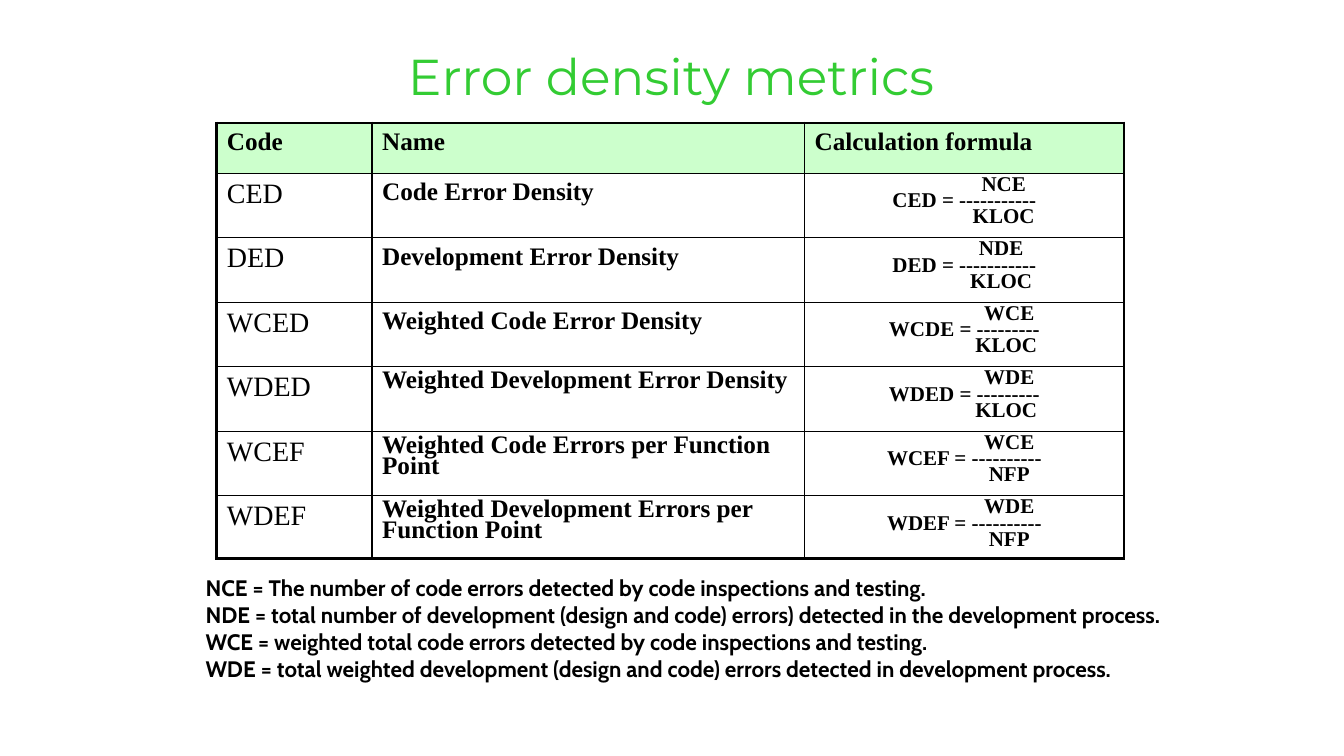
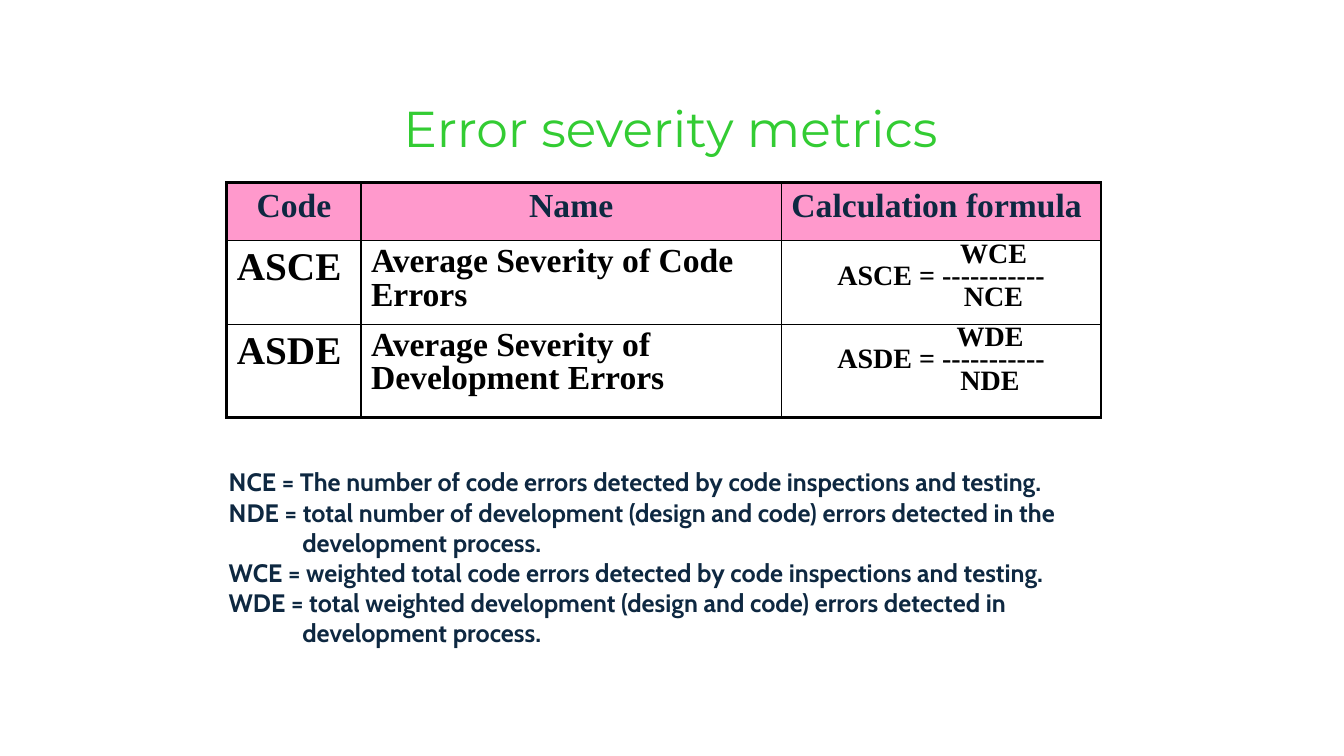
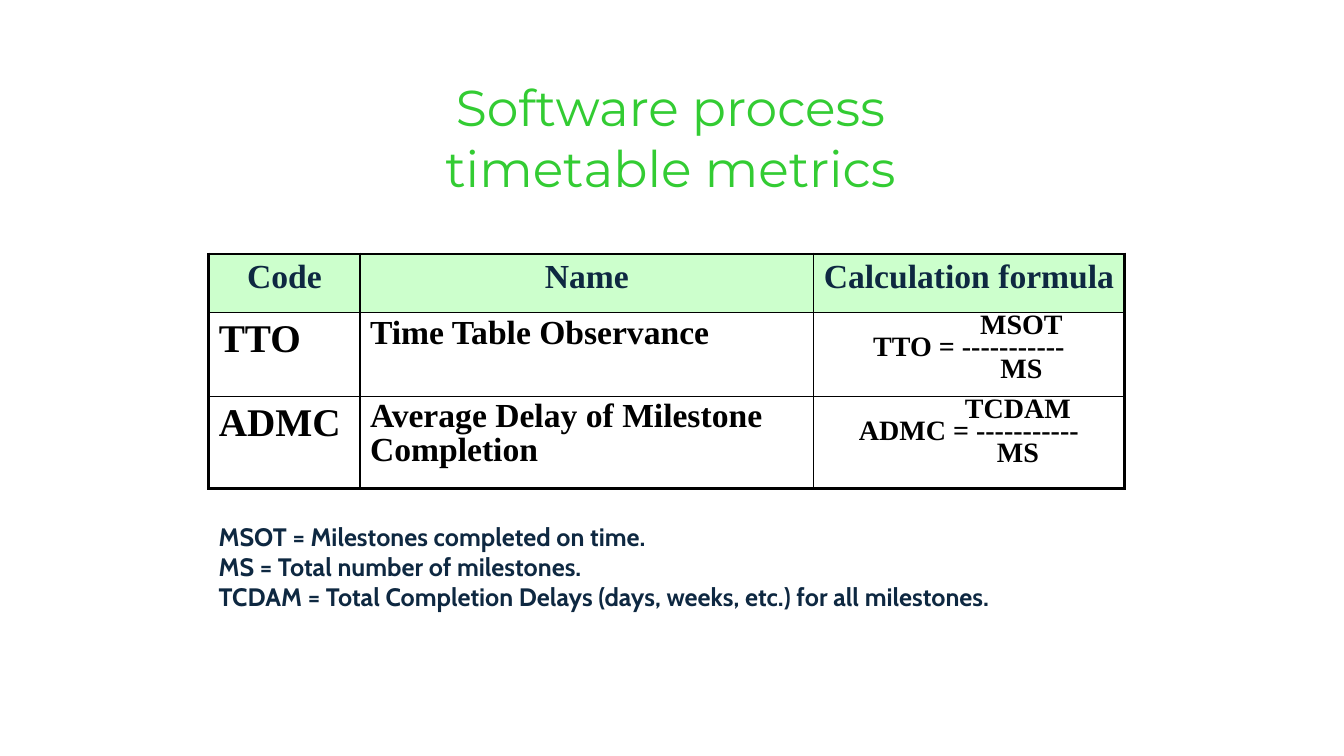
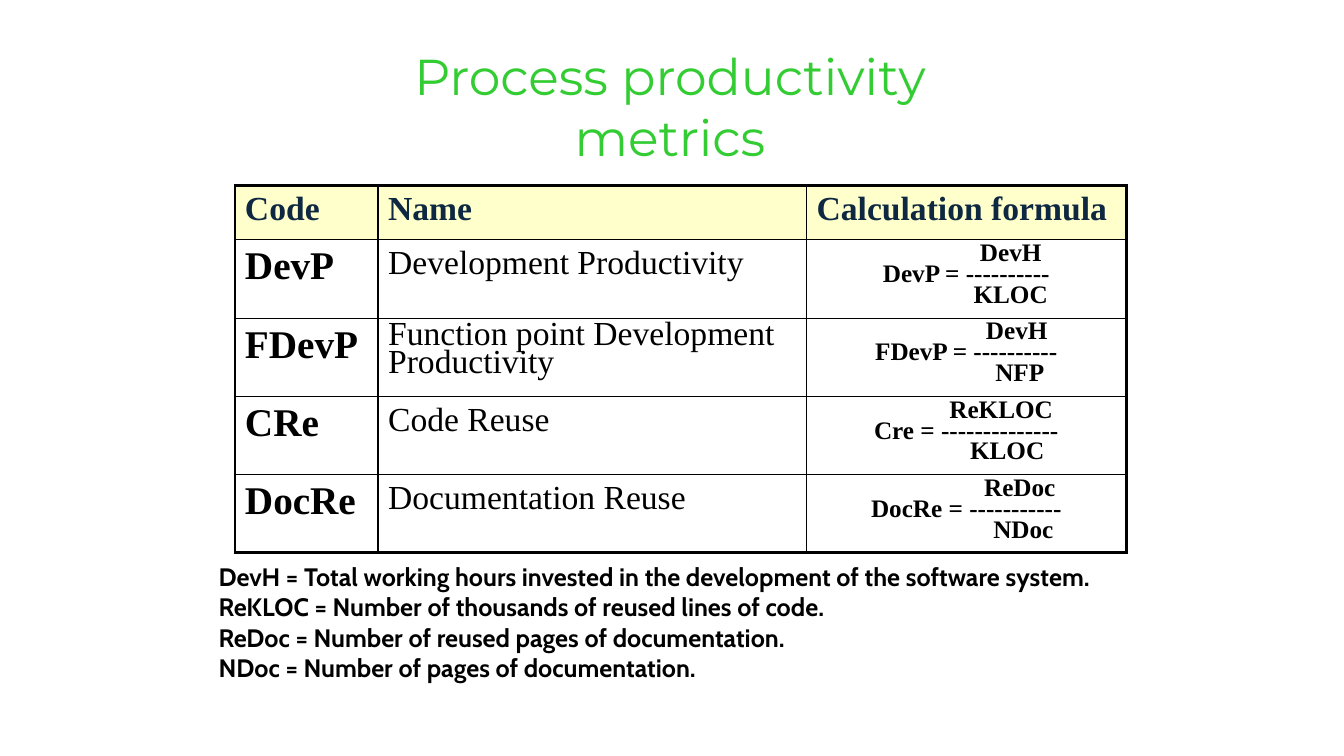
from dataclasses import dataclass

import lxml.etree
import pptx
import pptx.dml.color
import pptx.enum.text
import pptx.oxml.ns
import pptx.presentation
import pptx.slide
import pptx.table
import pptx.text.text
import pptx.util

Inches = pptx.util.Inches
Pt = pptx.util.Pt
RGBColor = pptx.dml.color.RGBColor

BLACK = RGBColor(0x00, 0x00, 0x00)
NAVY = RGBColor(0x0E, 0x28, 0x41)
TITLE_GREEN = RGBColor(0x33, 0xCC, 0x33)
PALE_GREEN = RGBColor(0xCC, 0xFF, 0xCC)
PINK = RGBColor(0xFF, 0x99, 0xCC)
PALE_YELLOW = RGBColor(0xFF, 0xFF, 0xCC)

TITLE_FONT = {"name": "Montserrat", "size": Pt(36), "bold": False}
LEGEND_FONT = {"name": "Cabin", "bold": True}
TABLE_FONT = {"name": "Times New Roman", "bold": True}

LEFT = pptx.enum.text.PP_ALIGN.LEFT
CENTER = pptx.enum.text.PP_ALIGN.CENTER
HEADINGS = ("Code", "Name", "Calculation formula")
FRAME_LINE = Pt(2.25)
GRID_LINE = Pt(1)


@dataclass(frozen=True)
class Box:
    left: float
    top: float
    width: float
    height: float


@dataclass(frozen=True)
class Metric:
    code: str
    name: str
    numerator: str
    ratio: str
    denominator: str
    numerator_indent: float
    denominator_indent: float
    name_spacing: float = 1.0


@dataclass(frozen=True)
class MetricStyle:
    header_fill: RGBColor
    header_color: RGBColor
    header_size: float
    header_aligns: tuple
    code_size: float
    name_size: float
    formula_size: float
    formula_spacing: float = 0.7
    code_bold: bool = True
    name_bold: bool = True


@dataclass(frozen=True)
class MetricSlide:
    title: tuple[str, ...]
    title_box: Box
    table_left: float
    table_top: float
    columns: tuple[float, ...]
    rows: tuple[float, ...]
    style: MetricStyle
    metrics: tuple[Metric, ...]
    legend: tuple[str, ...]
    legend_box: Box
    legend_size: float
    legend_color: RGBColor
    legend_hanging: float = 0


def write_paragraph(
    paragraph: pptx.text.text._Paragraph,
    text: str,
    font_values: dict,
    color: RGBColor,
    align: int = LEFT,
    spacing: float = 1.0,
    margin: float = 0,
    hanging: float = 0,
) -> None:
    paragraph.text = text
    for attribute, value in {"alignment": align, "line_spacing": spacing}.items():
        setattr(paragraph, attribute, value)
    properties = paragraph._p.get_or_add_pPr()
    properties.set("marL", str(Inches(margin + hanging)))
    properties.set("indent", str(Inches(-hanging)))
    for run in paragraph.runs:
        for attribute, value in font_values.items():
            setattr(run.font, attribute, value)
        run.font.color.rgb = color


def add_lines(
    slide: pptx.slide.Slide,
    box: Box,
    lines: tuple[str, ...],
    font_values: dict,
    color: RGBColor,
    align: int = LEFT,
    wrap: bool = True,
    hanging: float = 0,
) -> None:
    frame = slide.shapes.add_textbox(
        Inches(box.left), Inches(box.top), Inches(box.width), Inches(box.height)
    ).text_frame
    frame.word_wrap = wrap
    for index, line in enumerate(lines):
        paragraph = frame.add_paragraph() if index else frame.paragraphs[0]
        write_paragraph(paragraph, line, font_values, color, align, hanging=hanging)


def rule_cell(cell: pptx.table._Cell, framed: dict[str, bool]) -> None:
    properties = cell._tc.get_or_add_tcPr()
    qn = pptx.oxml.ns.qn
    for side, is_frame in framed.items():
        width = FRAME_LINE if is_frame else GRID_LINE
        line = lxml.etree.SubElement(properties, qn(f"a:ln{side}"), w=str(int(width)))
        fill = lxml.etree.SubElement(line, qn("a:solidFill"))
        lxml.etree.SubElement(fill, qn("a:srgbClr"), val=str(BLACK))


def write_header(table: pptx.table.Table, style: MetricStyle) -> None:
    font_values = TABLE_FONT | {"size": Pt(style.header_size)}
    for column, (heading, align) in enumerate(zip(HEADINGS, style.header_aligns)):
        cell = table.cell(0, column)
        cell.fill.solid()
        cell.fill.fore_color.rgb = style.header_fill
        write_paragraph(
            cell.text_frame.paragraphs[0], heading, font_values, style.header_color, align
        )


def write_metric(
    table: pptx.table.Table, row: int, metric: Metric, style: MetricStyle
) -> None:
    code, name, formula = (table.cell(row, column) for column in range(len(HEADINGS)))
    for cell in (code, name, formula):
        cell.fill.background()
    code_font = TABLE_FONT | {"size": Pt(style.code_size), "bold": style.code_bold}
    name_font = TABLE_FONT | {"size": Pt(style.name_size), "bold": style.name_bold}
    formula_font = TABLE_FONT | {"size": Pt(style.formula_size)}
    write_paragraph(code.text_frame.paragraphs[0], metric.code, code_font, BLACK)
    write_paragraph(
        name.text_frame.paragraphs[0],
        metric.name,
        name_font,
        BLACK,
        spacing=metric.name_spacing,
    )
    formula_lines = (
        (metric.numerator, metric.numerator_indent),
        (metric.ratio, 0),
        (metric.denominator, metric.denominator_indent),
    )
    frame = formula.text_frame
    for index, (text, margin) in enumerate(formula_lines):
        paragraph = frame.add_paragraph() if index else frame.paragraphs[0]
        write_paragraph(
            paragraph, text, formula_font, BLACK, CENTER, style.formula_spacing, margin
        )


def add_metric_table(slide: pptx.slide.Slide, content: MetricSlide) -> None:
    row_count, column_count = len(content.rows), len(content.columns)
    table = slide.shapes.add_table(
        row_count,
        column_count,
        Inches(content.table_left),
        Inches(content.table_top),
        Inches(sum(content.columns)),
        Inches(sum(content.rows)),
    ).table
    for attribute in ("first_row", "horz_banding"):
        setattr(table, attribute, False)
    for column, width in zip(table.columns, content.columns):
        column.width = Inches(width)
    for row, height in zip(table.rows, content.rows):
        row.height = Inches(height)
    for row in range(row_count):
        for column in range(column_count):
            framed = {
                "L": column == 0,
                "R": column == column_count - 1,
                "T": row == 0,
                "B": row == row_count - 1,
            }
            rule_cell(table.cell(row, column), framed)
    write_header(table, content.style)
    for row, metric in enumerate(content.metrics, start=1):
        write_metric(table, row, metric, content.style)


def add_metric_slide(
    presentation: pptx.presentation.Presentation, content: MetricSlide
) -> None:
    slide = presentation.slides.add_slide(presentation.slide_layouts[6])
    add_metric_table(slide, content)
    add_lines(
        slide,
        content.legend_box,
        content.legend,
        LEGEND_FONT | {"size": Pt(content.legend_size)},
        content.legend_color,
        hanging=content.legend_hanging,
    )
    add_lines(
        slide, content.title_box, content.title, TITLE_FONT, TITLE_GREEN, CENTER, wrap=False
    )


DENSITY_STYLE = MetricStyle(
    PALE_GREEN, BLACK, 18, (LEFT, LEFT, LEFT), 20, 18, 15, code_bold=False
)
SEVERITY_STYLE = MetricStyle(PINK, NAVY, 24, (CENTER, CENTER, LEFT), 28, 24, 20)
TIMETABLE_STYLE = MetricStyle(PALE_GREEN, NAVY, 24, (CENTER, CENTER, LEFT), 28, 24, 20)
PRODUCTIVITY_STYLE = MetricStyle(
    PALE_YELLOW, NAVY, 24, (LEFT, LEFT, LEFT), 28, 24, 18, 0.75, name_bold=False
)

SLIDES = (
    MetricSlide(
        title=("Error density metrics",),
        title_box=Box(3.78, 0.4, 5.75, 0.53),
        table_left=2.15,
        table_top=1.22,
        columns=(1.54, 4.29, 3.17),
        rows=(0.5, *[0.64] * 5, 0.62),
        style=DENSITY_STYLE,
        metrics=(
            Metric("CED", "Code Error Density",
                   "NCE", "CED = -----------", "KLOC", 0.78, 0.78),
            Metric("DED", "Development Error Density",
                   "NDE", "DED = -----------", "KLOC", 0.73, 0.73),
            Metric("WCED", "Weighted Code Error Density",
                   "WCE", "WCDE = ---------", "KLOC", 0.89, 0.83),
            Metric("WDED", "Weighted Development Error Density",
                   "WDE", "WDED = ---------", "KLOC", 0.89, 0.83, 0.75),
            Metric("WCEF", "Weighted Code Errors per Function Point",
                   "WCE", "WCEF = ----------", "NFP", 0.89, 0.89, 0.75),
            Metric("WDEF", "Weighted Development Errors per Function Point",
                   "WDE", "WDEF = ----------", "NFP", 0.89, 0.89, 0.75),
        ),
        legend=(
            "NCE = The number of code errors detected by code inspections and testing.",
            "NDE = total number of development (design and code) errors) detected in the development process.",
            "WCE = weighted total code errors detected by code inspections and testing.",
            "WDE = total weighted development (design and code) errors detected in development process.",
        ),
        legend_box=Box(1.94, 5.65, 10, 1.45),
        legend_size=16,
        legend_color=BLACK,
    ),
    MetricSlide(
        title=("Error severity metrics",),
        title_box=Box(3.68, 0.91, 5.94, 0.53),
        table_left=2.25,
        table_top=1.81,
        columns=(1.33, 4.17, 3.17),
        rows=(0.58, 0.83, 0.92),
        style=SEVERITY_STYLE,
        metrics=(
            Metric("ASCE", "Average Severity of Code Errors",
                   "WCE", "ASCE = -----------", "NCE", 1.04, 1.04, 0.9),
            Metric("ASDE", "Average Severity of Development Errors",
                   "WDE", "ASDE = -----------", "NDE", 0.97, 0.97, 0.9),
        ),
        legend=(
            "NCE = The number of code errors detected by code inspections and testing.",
            "NDE = total number of development (design and code) errors detected in the\vdevelopment process.",
            "WCE = weighted total code errors detected by code inspections and testing.",
            "WDE = total weighted development (design and code) errors detected in\vdevelopment process.",
        ),
        legend_box=Box(2.17, 4.58, 9.25, 1.9),
        legend_size=18,
        legend_color=NAVY,
        legend_hanging=0.73,
    ),
    MetricSlide(
        title=("Software process", "timetable metrics"),
        title_box=Box(4.23, 0.71, 4.84, 1.23),
        table_left=2.07,
        table_top=2.52,
        columns=(1.5, 4.5, 3.08),
        rows=(0.58, 0.83, 0.92),
        style=TIMETABLE_STYLE,
        metrics=(
            Metric("TTO", "Time Table Observance",
                   "MSOT", "TTO = -----------", "MS", 1.04, 1.04, 0.9),
            Metric("ADMC", "Average Delay of Milestone Completion",
                   "TCDAM", "ADMC = -----------", "MS", 0.97, 0.97, 0.9),
        ),
        legend=(
            "MSOT = Milestones completed on time.",
            "MS = Total number of milestones.",
            "TCDAM = Total Completion Delays (days, weeks, etc.) for all milestones.",
        ),
        legend_box=Box(2.07, 5.12, 9.17, 1),
        legend_size=18,
        legend_color=NAVY,
    ),
    MetricSlide(
        title=("Process productivity", "metrics"),
        title_box=Box(3.84, 0.4, 5.61, 1.23),
        table_left=2.33,
        table_top=1.84,
        columns=(1.42, 4.25, 3.17),
        rows=(0.54, 0.75, 0.77, 0.73, 0.67),
        style=PRODUCTIVITY_STYLE,
        metrics=(
            Metric("DevP", "Development Productivity",
                   "DevH", "DevP = ----------", "KLOC", 0.88, 0.88),
            Metric("FDevP", "Function point Development Productivity",
                   "DevH", "FDevP = ----------", "NFP", 1, 1.06, 0.75),
            Metric("CRe", "Code Reuse",
                   "ReKLOC", "Cre = --------------", "KLOC", 0.69, 0.81),
            Metric("DocRe", "Documentation Reuse",
                   "ReDoc", "DocRe = -----------", "NDoc", 1.06, 1.13),
        ),
        legend=(
            "DevH = Total working hours invested in the development of the software system.",
            "ReKLOC = Number of thousands of reused lines of code.",
            "ReDoc = Number of reused pages of documentation.",
            "NDoc = Number of pages of documentation.",
        ),
        legend_box=Box(2.07, 5.52, 9.24, 1.3),
        legend_size=18,
        legend_color=BLACK,
    ),
)


def main() -> None:
    presentation = pptx.Presentation()
    presentation.slide_width = Inches(13.33)
    presentation.slide_height = Inches(7.5)
    for content in SLIDES:
        add_metric_slide(presentation, content)
    presentation.save("out.pptx")


if __name__ == "__main__":
    main()
